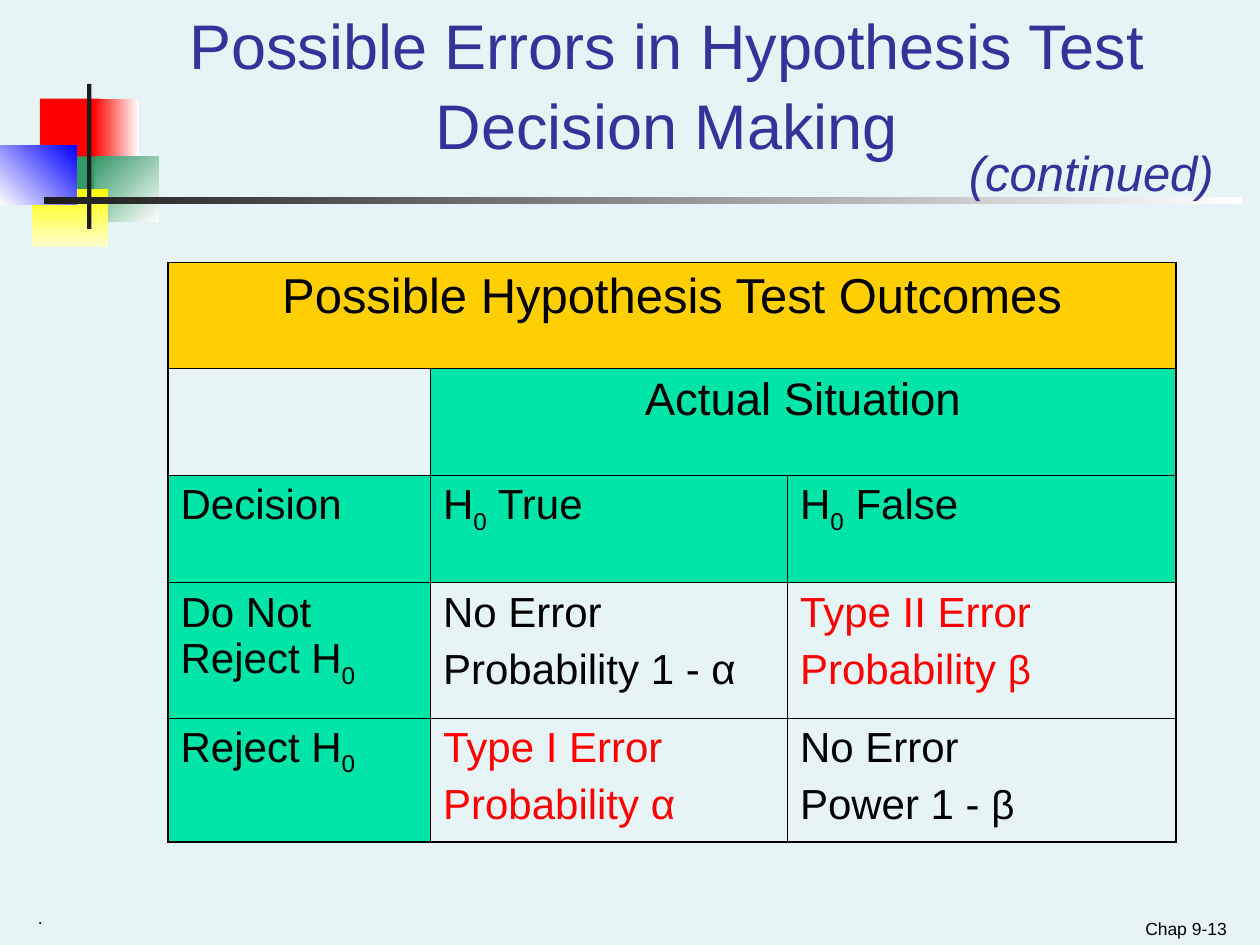
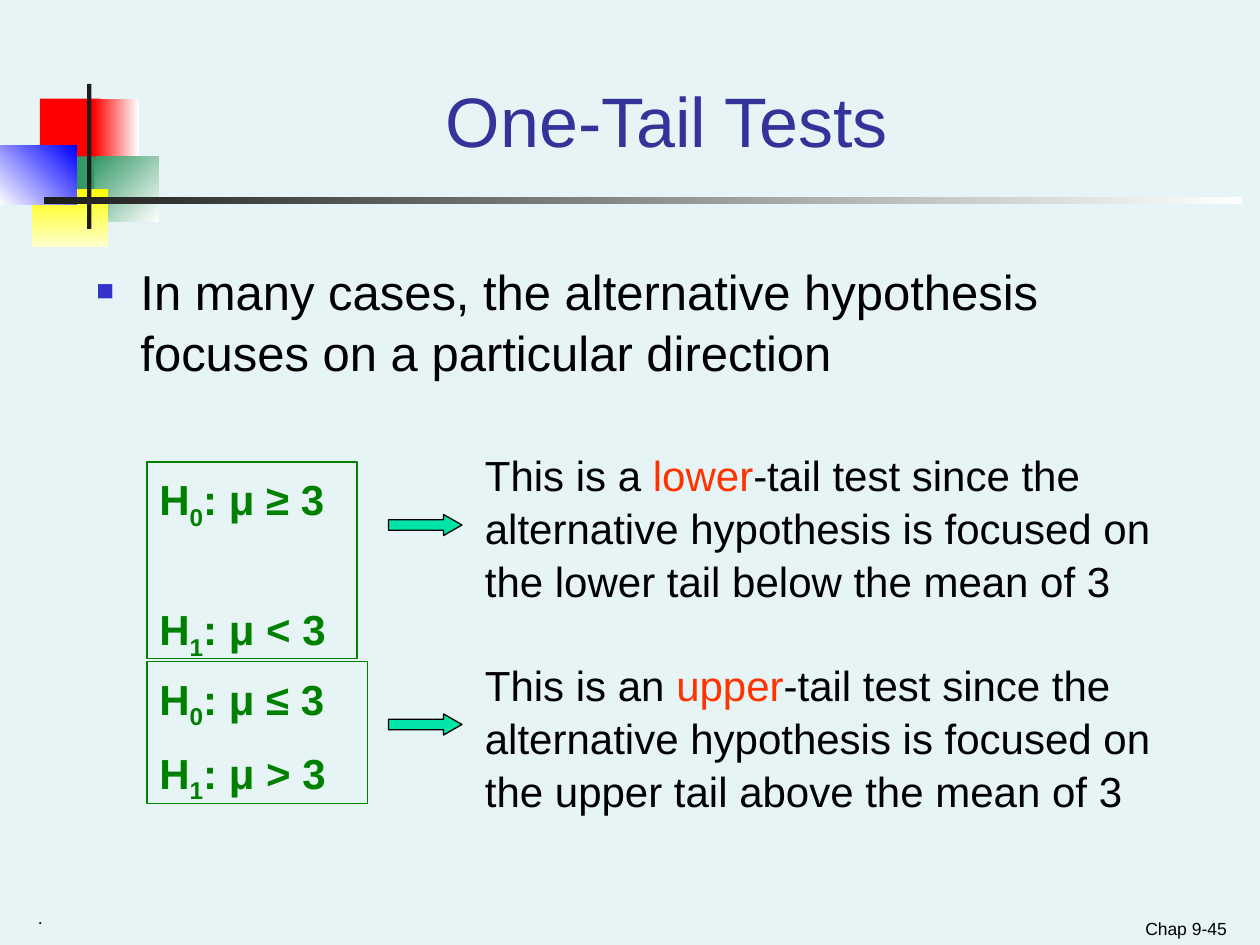
from lxml.etree import SubElement
from pptx import Presentation
from pptx.dml.color import RGBColor
from pptx.enum.shapes import MSO_SHAPE
from pptx.enum.text import MSO_ANCHOR, PP_ALIGN
from pptx.oxml.ns import qn
from pptx.util import Inches, Pt

BACKDROP = RGBColor(0xE7, 0xF4, 0xF5)
INDIGO = RGBColor(0x33, 0x33, 0x99)
BULLET_BLUE = RGBColor(0x33, 0x33, 0xCC)
BLUE = RGBColor(0x00, 0x00, 0xFF)
RED = RGBColor(0xFF, 0x00, 0x00)
ORANGE = RGBColor(0xFF, 0x33, 0x00)
FOREST = RGBColor(0x33, 0x99, 0x66)
GREEN = RGBColor(0x00, 0x80, 0x00)
MINT = RGBColor(0x00, 0xE4, 0xA8)
GOLD = RGBColor(0xFF, 0xCF, 0x01)
YELLOW = RGBColor(0xFF, 0xFF, 0x00)
CREAM = RGBColor(0xFF, 0xFF, 0xCC)
CHARCOAL = RGBColor(0x1C, 0x1C, 0x1C)
WHITE = RGBColor(0xFF, 0xFF, 0xFF)
BLACK = RGBColor(0x00, 0x00, 0x00)

FONT = "Arial"
CELLS_PER_INCH = 12
COLUMNS, ROWS = 120, 90
LOOSE = 1.05

ORNAMENT = [
    ((3.8, 9.4, 5.8, 6.2), RED, None, 0),
    ((8.9, 9.4, 4.3, 6.2), RED, WHITE, 0),
    ((9, 14.9, 6.1, 6.2), FOREST, WHITE, 45),
    ((5.2, 14.9, 3.8, 6.2), FOREST, None, 0),
    ((3, 18, 7.3, 5.5), YELLOW, CREAM, 90),
    ((0, 13.9, 7.3, 5.6), WHITE, BLUE, 315),
    ((8.3, 8, 0.4, 13.8), CHARCOAL, None, 0),
    ((4.2, 18.75, 114.1, 0.7), CHARCOAL, WHITE, 0),
]

SUB = {"baseline": -25000}
H0 = ["H", ("0", SUB)]
H1 = ["H", ("1", SUB)]
BETA = ("β", {"size": Pt(23)})

ERRORS = {"title": "Possible Errors in Hypothesis Test Decision Making",
          "title_size": 36, "page": "Chap 9-13"}
OUTCOME_COLUMNS = [25, 34, 37]
OUTCOME_ROWS = [10.1, 10.2, 10.2, 12.9, 11.8]
OUTCOMES = [
    (0, 0, 3, GOLD, BLACK, 28, [["Possible Hypothesis Test Outcomes"]]),
    (1, 0, 1, None, BLACK, 24, []),
    (1, 1, 2, MINT, BLACK, 26, [["Actual Situation"]]),
    (2, 0, 1, MINT, BLACK, 24, [["Decision"]]),
    (2, 1, 1, MINT, BLACK, 24, [[*H0, " True"]]),
    (2, 2, 1, MINT, BLACK, 24, [[*H0, " False"]]),
    (3, 0, 1, MINT, BLACK, 24, [["Do Not Reject ", *H0]]),
    (3, 1, 1, None, BLACK, 24, [["No Error"], ["Probability 1 - α"]]),
    (3, 2, 1, None, RED, 24, [["Type II Error"], ["Probability ", BETA]]),
    (4, 0, 1, MINT, BLACK, 24, [["Reject ", *H0]]),
    (4, 1, 1, None, RED, 24, [["Type I Error"], ["Probability α"]]),
    (4, 2, 1, None, BLACK, 24, [["No Error"], ["Power 1 - ", BETA]]),
]

ONE_TAIL = {"title": "One-Tail Tests", "title_size": 40, "page": "Chap 9-45"}
DIRECTION = "In many cases, the alternative hypothesis focuses on a particular direction"
TAILS = [
    {"hypotheses": [[*H0, ": μ ≥ 3"], [*H1, ": μ < 3"]],
     "box": (14, 44, 20, 18.75), "gap": 47, "arrow_row": 49, "reason_row": 42,
     "reason": ["This is a ", ("lower", {"color": ORANGE}),
                "-tail test since the alternative hypothesis is focused on "
                "the lower tail below the mean of 3"]},
    {"hypotheses": [[*H0, ": μ ≤ 3"], [*H1, ": μ > 3"]],
     "box": (14, 63, 21, 13.5), "gap": 15, "arrow_row": 68, "reason_row": 62,
     "reason": ["This is an ", ("upper", {"color": ORANGE}),
                "-tail test since the alternative hypothesis is focused on "
                "the upper tail above the mean of 3"]},
]


def grid(*cells):
    return [Inches(cell / CELLS_PER_INCH) for cell in cells]


def write(frame, paragraphs, size, color=BLACK, layout=None, gap=0, **font):
    for index, runs in enumerate(paragraphs):
        paragraph = frame.paragraphs[0] if index == 0 else frame.add_paragraph()
        for key, value in {"alignment": PP_ALIGN.LEFT, **(layout or {})}.items():
            setattr(paragraph, key, value)
        if index:
            paragraph.space_before = Pt(gap)
        for part in runs:
            words, changes = (part, {}) if isinstance(part, str) else part
            look = {"name": FONT, "size": Pt(size), "color": color, **font, **changes}
            run = paragraph.add_run()
            run.text = words
            run.font.color.rgb = look.pop("color")
            if "baseline" in look:
                run._r.get_or_add_rPr().set("baseline", str(look.pop("baseline")))
            for key, value in look.items():
                setattr(run.font, key, value)


def add_text(slide, place, paragraphs, size, anchor=MSO_ANCHOR.TOP, wrap=True, **style):
    frame = slide.shapes.add_textbox(*grid(*place)).text_frame
    frame.word_wrap = wrap
    frame.vertical_anchor = anchor
    write(frame, paragraphs, size, **style)
    return frame


def add_block(slide, place, fill=None, line=None, preset=MSO_SHAPE.RECTANGLE):
    block = slide.shapes.add_shape(preset, *grid(*place))
    block.shadow.inherit = False
    if fill is None:
        block.fill.background()
    else:
        block.fill.solid()
        block.fill.fore_color.rgb = fill
    if line is None:
        block.line.fill.background()
    else:
        block.line.color.rgb = line
        block.line.width = Pt(0.75)
    return block


def start_slide(deck, content):
    slide = deck.slides.add_slide(deck.slide_layouts[6])
    slide.background.fill.solid()
    slide.background.fill.fore_color.rgb = BACKDROP
    for place, start, end, angle in ORNAMENT:
        block = add_block(slide, place, start)
        if end is not None:
            block.fill.gradient()
            block.fill.gradient_angle = (360 - angle) % 360
            for stop, color in zip(block.fill.gradient_stops, (start, end)):
                stop.color.rgb = color
    add_text(slide, (90, 85.8, 28, 4.2), [[content["page"]]], 10,
             anchor=MSO_ANCHOR.BOTTOM, layout={"alignment": PP_ALIGN.RIGHT})
    add_text(slide, (2.5, 85.8, 72, 4.2), [["."]], 10, italic=True)
    add_text(slide, (15.1, 3, 96.8, 13), [[content["title"]]], content["title_size"],
             anchor=MSO_ANCHOR.BOTTOM, color=INDIGO,
             layout={"alignment": PP_ALIGN.CENTER, "line_spacing": LOOSE})
    return slide


def add_borders(cell, row, column, span):
    outer = {"L": column == 0, "R": column + span == len(OUTCOME_COLUMNS),
             "T": row == 0, "B": row == len(OUTCOME_ROWS) - 1}
    properties = cell._tc.get_or_add_tcPr()
    for side, is_outer in outer.items():
        edge = SubElement(properties, qn(f"a:ln{side}"), w=str(Pt(1.08 if is_outer else 0.45)))
        ink = SubElement(edge, qn("a:solidFill"))
        SubElement(ink, qn("a:srgbClr"), val=str(BLACK))


def add_outcomes(slide):
    place = grid(16, 25, sum(OUTCOME_COLUMNS), sum(OUTCOME_ROWS))
    table = slide.shapes.add_table(len(OUTCOME_ROWS), len(OUTCOME_COLUMNS), *place).table
    table.first_row = table.horz_banding = False
    for column, width in zip(table.columns, grid(*OUTCOME_COLUMNS)):
        column.width = width
    for row, height in zip(table.rows, grid(*OUTCOME_ROWS)):
        row.height = height
    for row, column, span, fill, color, size, paragraphs in OUTCOMES:
        cell = table.cell(row, column)
        if span > 1:
            cell.merge(table.cell(row, column + span - 1))
        add_borders(cell, row, column, span)
        if fill is None:
            cell.fill.background()
        else:
            cell.fill.solid()
            cell.fill.fore_color.rgb = fill
        alignment = PP_ALIGN.CENTER if span > 1 else PP_ALIGN.LEFT
        write(cell.text_frame, paragraphs, size, color, {"alignment": alignment}, gap=6)


def add_bullet(paragraph):
    properties = paragraph._p.get_or_add_pPr()
    properties.set("marL", str(Inches(0.35)))
    properties.set("indent", str(-Inches(0.35)))
    tint = SubElement(properties, qn("a:buClr"))
    SubElement(tint, qn("a:srgbClr"), val=str(BULLET_BLUE))
    SubElement(properties, qn("a:buSzPct"), val="60000")
    SubElement(properties, qn("a:buFont"), typeface=FONT)
    SubElement(properties, qn("a:buChar"), char="■")


def add_tail(slide, tail):
    box = add_block(slide, tail["box"], line=GREEN)
    frame = box.text_frame
    frame.word_wrap = True
    frame.vertical_anchor = MSO_ANCHOR.TOP
    write(frame, tail["hypotheses"], 24, GREEN, gap=tail["gap"], bold=True)
    for paragraph, spacing in zip(frame.paragraphs, (1.1, 0.7)):
        paragraph.line_spacing = spacing
    add_text(slide, (45, tail["reason_row"], 68, 15.6), [tail["reason"]], 24,
             layout={"line_spacing": LOOSE})
    arrow = add_block(slide, (37, tail["arrow_row"], 7, 2), MINT, BLACK, MSO_SHAPE.RIGHT_ARROW)
    arrow.adjustments[0], arrow.adjustments[1] = 0.5, 0.875


def main():
    deck = Presentation()
    deck.slide_width, deck.slide_height = grid(COLUMNS, ROWS)

    errors = start_slide(deck, ERRORS)
    add_outcomes(errors)
    add_text(errors, (91.1, 13, 25.7, 6.8), [["(continued)"]], 28, wrap=False,
             color=INDIGO, italic=True)

    one_tail = start_slide(deck, ONE_TAIL)
    direction = add_text(one_tail, (8, 24, 99, 14.5), [[DIRECTION]], 28,
                         layout={"line_spacing": LOOSE})
    add_bullet(direction.paragraphs[0])
    for tail in TAILS:
        add_tail(one_tail, tail)

    deck.save("out.pptx")


if __name__ == "__main__":
    main()
